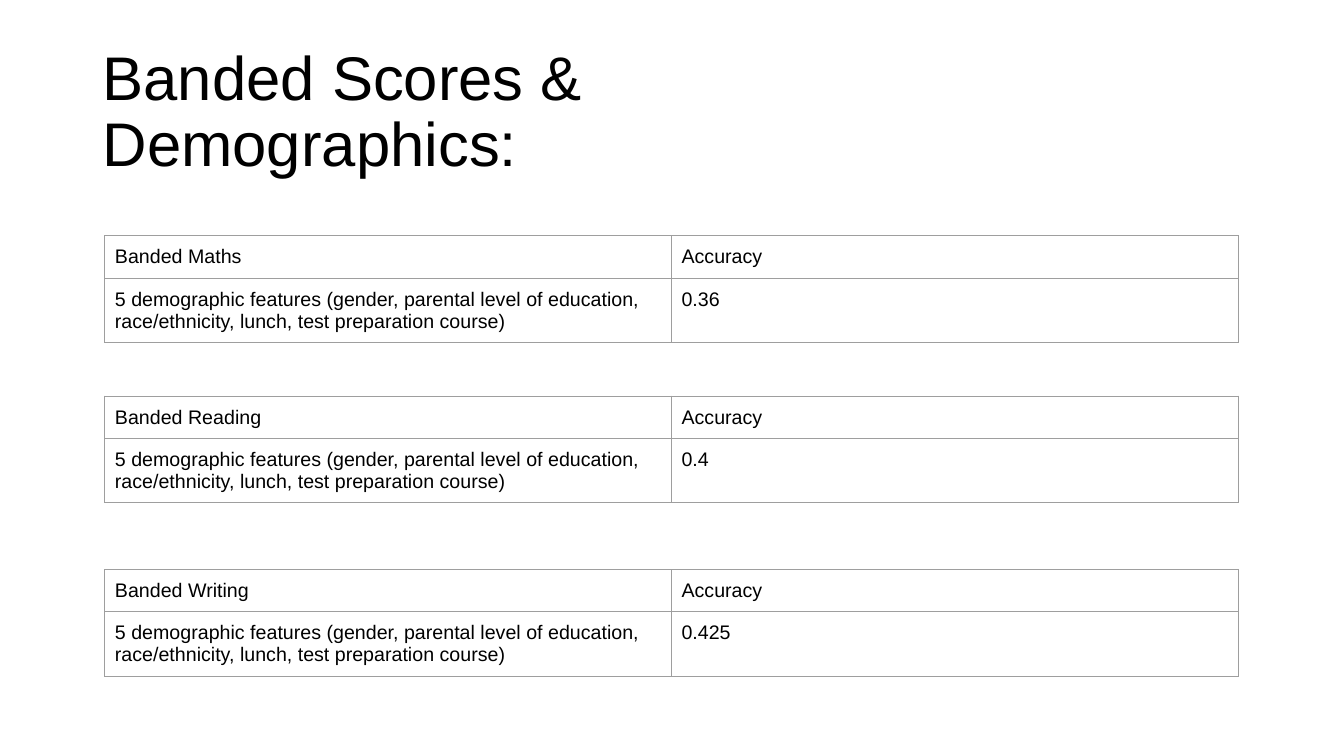
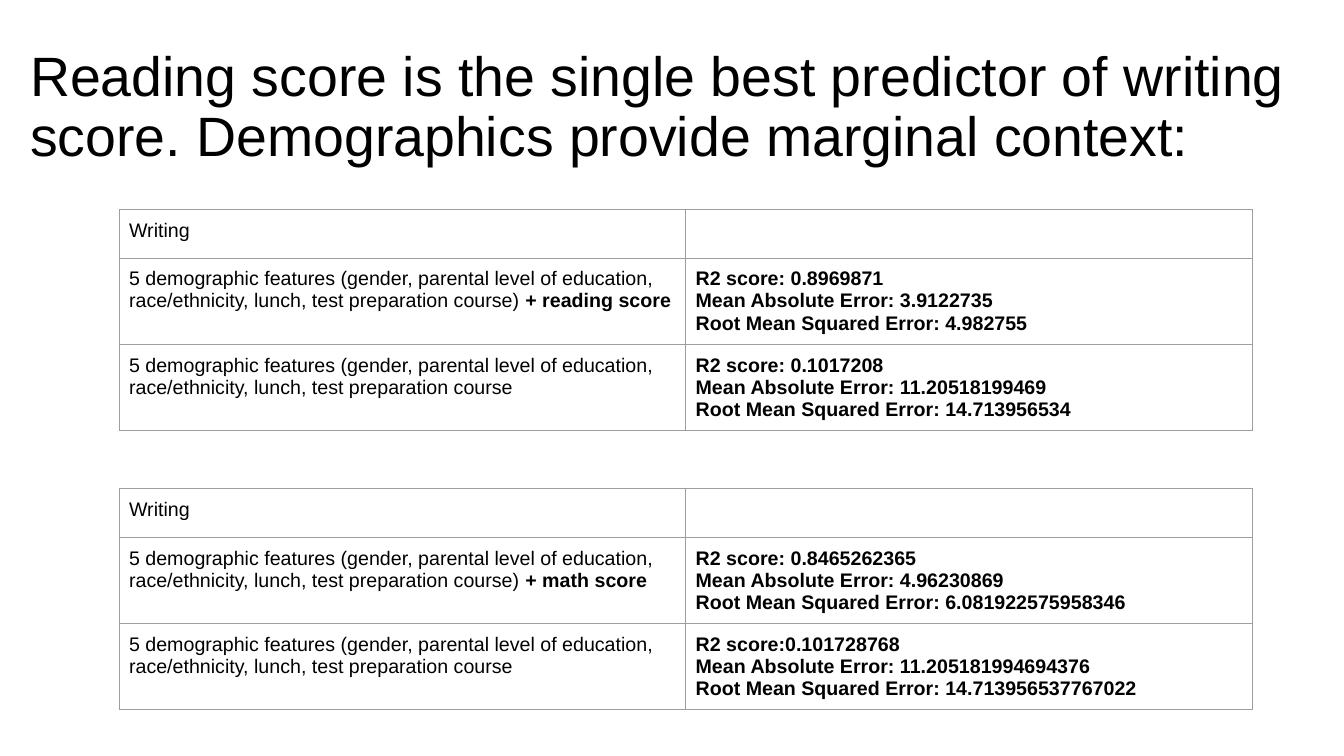
from lxml import etree
from pptx import Presentation
from pptx.dml.color import RGBColor
from pptx.enum import text
from pptx.oxml.ns import qn
from pptx.util import Inches, Pt

BLACK = RGBColor(0x00, 0x00, 0x00)
WHITE = RGBColor(0xFF, 0xFF, 0xFF)
GREY = RGBColor(0x9E, 0x9E, 0x9E)

FONT = "Arial"
BODY_SIZE = 14
COLUMN_WIDTH = 5.62
ROW_HEIGHT = 0.42
FEATURES = ("5 demographic features (gender, parental level of education, "
            "race/ethnicity, lunch, test preparation course")

TITLE_FRAME = {
    "word_wrap": True,
    "auto_size": text.MSO_AUTO_SIZE.NONE,
    "vertical_anchor": text.MSO_ANCHOR.MIDDLE,
    "margin_left": Inches(0.1), "margin_right": Inches(0.1),
    "margin_top": Inches(0.05), "margin_bottom": Inches(0.05),
}
CELL_FORMAT = {
    "vertical_anchor": text.MSO_ANCHOR.TOP,
    "margin_left": Inches(0.1), "margin_right": Inches(0.1),
    "margin_top": Inches(0.1), "margin_bottom": Inches(0.1),
}
TABLE_FORMAT = {"first_row": False, "horz_banding": False}


def apply_format(target, values):
    for name, value in values.items():
        setattr(target, name, value)


def plain(words):
    """Cell content of one regular paragraph."""
    return [[(words, False)]]


def metrics(*lines):
    """Cell content of bold paragraphs, one for each line."""
    return [[(line, True)] for line in lines]


class Deck:
    """The shared style and the slide being built."""

    def __init__(self):
        self.presentation = Presentation()
        self.presentation.slide_width = Inches(13.33)
        self.presentation.slide_height = Inches(7.5)
        self.slide = None

    def add_slide(self):
        self.slide = self.presentation.slides.add_slide(
            self.presentation.slide_layouts[6])
        fill = self.slide.background.fill
        fill.solid()
        fill.fore_color.rgb = WHITE

    def add_run(self, paragraph, words, size, bold=False):
        run = paragraph.add_run()
        run.text = words
        apply_format(run.font, {"name": FONT, "size": Pt(size), "bold": bold})
        run.font.color.rgb = BLACK

    def add_title(self, words, left, top, width, size):
        box = self.slide.shapes.add_textbox(
            Inches(left), Inches(top), Inches(width), Inches(1.45))
        apply_format(box.text_frame, TITLE_FRAME)
        paragraph = box.text_frame.paragraphs[0]
        paragraph.line_spacing = 0.9
        self.add_run(paragraph, words, size)

    def add_table(self, left, top, rows):
        """Add a two-column table whose rows grow with their text."""
        frame = self.slide.shapes.add_table(
            len(rows), 2, Inches(left), Inches(top),
            Inches(2 * COLUMN_WIDTH), Inches(len(rows) * ROW_HEIGHT))
        table = frame.table
        apply_format(table, TABLE_FORMAT)
        for column in table.columns:
            column.width = Inches(COLUMN_WIDTH)
        for row, contents in zip(table.rows, rows):
            row.height = Inches(ROW_HEIGHT)
            for cell, content in zip(row.cells, contents):
                self.fill_cell(cell, content)

    def fill_cell(self, cell, content):
        apply_format(cell, CELL_FORMAT)
        self.add_borders(cell)
        cell.fill.background()
        frame = cell.text_frame
        if not content:
            self.set_empty_font(frame.paragraphs[0])
        for index, runs in enumerate(content):
            paragraph = frame.add_paragraph() if index else frame.paragraphs[0]
            for words, bold in runs:
                self.add_run(paragraph, words, BODY_SIZE, bold)

    def set_empty_font(self, paragraph):
        """Give a paragraph without runs the shared font, which sets its height."""
        end = etree.SubElement(paragraph._p, qn("a:endParaRPr"), sz="1800")
        etree.SubElement(end, qn("a:latin"), typeface=FONT)

    def add_borders(self, cell):
        properties = cell._tc.get_or_add_tcPr()
        for side in ("a:lnL", "a:lnR", "a:lnT", "a:lnB"):
            line = etree.SubElement(properties, qn(side), w=str(Pt(0.75)))
            fill = etree.SubElement(line, qn("a:solidFill"))
            etree.SubElement(fill, qn("a:srgbClr"), val=str(GREY))


def build_accuracy_slide(deck):
    deck.add_slide()
    deck.add_title("Banded Scores & Demographics:", 0.92, 0.4, 9.12, 44)
    for subject, accuracy, top in (("Reading", "0.4", 3.93),
                                   ("Writing", "0.425", 5.65),
                                   ("Maths", "0.36", 2.34)):
        deck.add_table(1.04, top, [
            (plain(f"Banded {subject}"), plain("Accuracy")),
            (plain(FEATURES + ")"), plain(accuracy)),
        ])


def build_predictor_slide(deck):
    deck.add_slide()
    deck.add_title("Reading score is the single best predictor of writing score. "
                   "Demographics provide marginal context:", 0.2, 0.35, 12.92, 39.6)
    comparisons = (
        (2.08, "+ reading score",
         metrics("R2 score: 0.8969871",
                 "Mean Absolute Error: 3.9122735",
                 "Root Mean Squared Error: 4.982755"),
         metrics("R2 score: 0.1017208",
                 "Mean Absolute Error: 11.20518199469",
                 "Root Mean Squared Error: 14.713956534")),
        (4.85, "+ math score",
         metrics("R2 score: 0.8465262365",
                 "Mean Absolute Error: 4.96230869",
                 "Root Mean Squared Error: 6.081922575958346"),
         metrics("R2 score:0.101728768",
                 "Mean Absolute Error: 11.205181994694376",
                 "Root Mean Squared Error: 14.713956537767022")),
    )
    for top, extra_feature, with_extra, demographics_only in comparisons:
        deck.add_table(1.18, top, [
            (plain("Writing"), []),
            ([[(FEATURES + ") ", False), (extra_feature, True)]], with_extra),
            (plain(FEATURES), demographics_only),
        ])


def main():
    deck = Deck()
    build_accuracy_slide(deck)
    build_predictor_slide(deck)
    deck.presentation.save("out.pptx")


if __name__ == "__main__":
    main()
